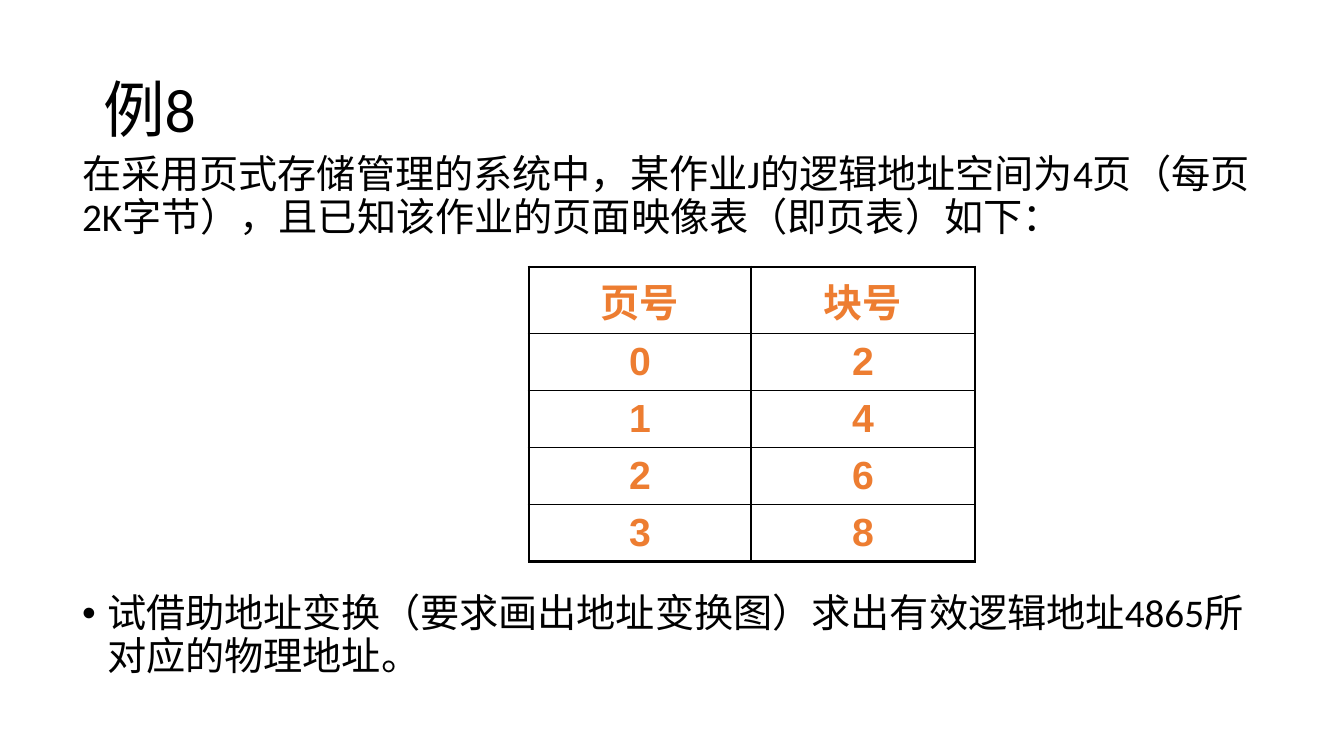
"""Build the slide for example 8: a page table and an address translation task."""
from lxml.etree import SubElement
from pptx import Presentation
from pptx.dml.color import RGBColor
from pptx.enum.text import MSO_ANCHOR, MSO_AUTO_SIZE, PP_ALIGN
from pptx.oxml.ns import qn
from pptx.util import Pt

PX = 914400 / 100.8
COLORS = {"text": "000000", "entry": "ED7D31", "border": "000000"}
PAGE_TABLE = [("页号", "块号"), ("0", "2"), ("1", "4"), ("2", "6"), ("3", "8")]
QUESTION = "在采用页式存储管理的系统中，某作业J的逻辑地址空间为4页（每页2K字节），且已知该作业的页面映像表（即页表）如下："
TASK = "试借助地址变换（要求画出地址变换图）求出有效逻辑地址4865所对应的物理地址。"


def px(length):
    return round(length * PX)


def place(box, left, top, width, height):
    box.left, box.top, box.width, box.height = map(px, (left, top, width, height))
    box.text_frame.word_wrap = True
    box.text_frame.auto_size = MSO_AUTO_SIZE.NONE


def add_span(para, text, size, font="Calibri", color="text", bold=False):
    span = para.add_run()
    span.text = text
    span.font.size = Pt(size)
    span.font.name = font
    span.font.bold = bold
    span.font.color.rgb = RGBColor.from_string(COLORS[color])


def set_bullet(para, bullet, indent):
    properties = para._p.get_or_add_pPr()
    properties.set("marL", str(px(indent)))
    properties.set("indent", str(px(-indent)))
    if bullet:
        SubElement(properties, qn("a:buFont"), typeface="Arial")
        SubElement(properties, qn("a:buChar"), char=bullet)
    else:
        SubElement(properties, qn("a:buNone"))


def add_title(page, text):
    title = page.shapes.title
    place(title, 93, 40, 1159, 146)
    title.text_frame.vertical_anchor = MSO_ANCHOR.MIDDLE
    para = title.text_frame.paragraphs[0]
    para.alignment = PP_ALIGN.LEFT
    para.line_spacing = 0.9
    add_span(para, text, 44)


def add_body(page, items):
    body = page.placeholders[1]
    place(body, 72, 150, 1198, 525)
    frame = body.text_frame
    for index, (text, bullet, indent, space) in enumerate(items):
        para = frame.add_paragraph() if index else frame.paragraphs[0]
        para.line_spacing = 0.9
        para.space_before = Pt(space)
        set_bullet(para, bullet, indent)
        add_span(para, text, 28)


def set_border(cell, side, width):
    line = SubElement(cell._tc.get_or_add_tcPr(), qn(f"a:ln{side}"), w=str(Pt(width)))
    fill = SubElement(line, qn("a:solidFill"))
    SubElement(fill, qn("a:srgbClr"), val=COLORS["border"])


def add_page_table(page, rows, left, top, widths, row_height):
    height = row_height * len(rows)
    frame = page.shapes.add_table(len(rows), len(widths), px(left), px(top), px(sum(widths)), px(height))
    table = frame.table
    table.first_row = table.horz_banding = False
    for column, width in zip(table.columns, widths):
        column.width = px(width)
    for row_index, values in enumerate(rows):
        table.rows[row_index].height = px(row_height)
        for column_index, value in enumerate(values):
            cell = table.cell(row_index, column_index)
            outer = {
                "L": column_index == 0,
                "R": column_index == len(widths) - 1,
                "T": row_index == 0,
                "B": row_index == len(rows) - 1,
            }
            for side, is_outer in outer.items():
                set_border(cell, side, 2.25 if is_outer else 1)
            cell.fill.background()
            cell.vertical_anchor = MSO_ANCHOR.MIDDLE
            para = cell.text_frame.paragraphs[0]
            para.alignment = PP_ALIGN.CENTER
            add_span(para, value, 28, "Arial", "entry", True)


def main():
    deck = Presentation()
    deck.slide_width, deck.slide_height = px(1344), px(756)
    page = deck.slides.add_slide(deck.slide_layouts[1])
    add_title(page, "例8")
    add_body(page, [(QUESTION, None, 0, 10), (TASK, "•", 25, 253)])
    add_page_table(page, PAGE_TABLE, 529, 267, (222, 224), 57)
    deck.save("out.pptx")


if __name__ == "__main__":
    main()
